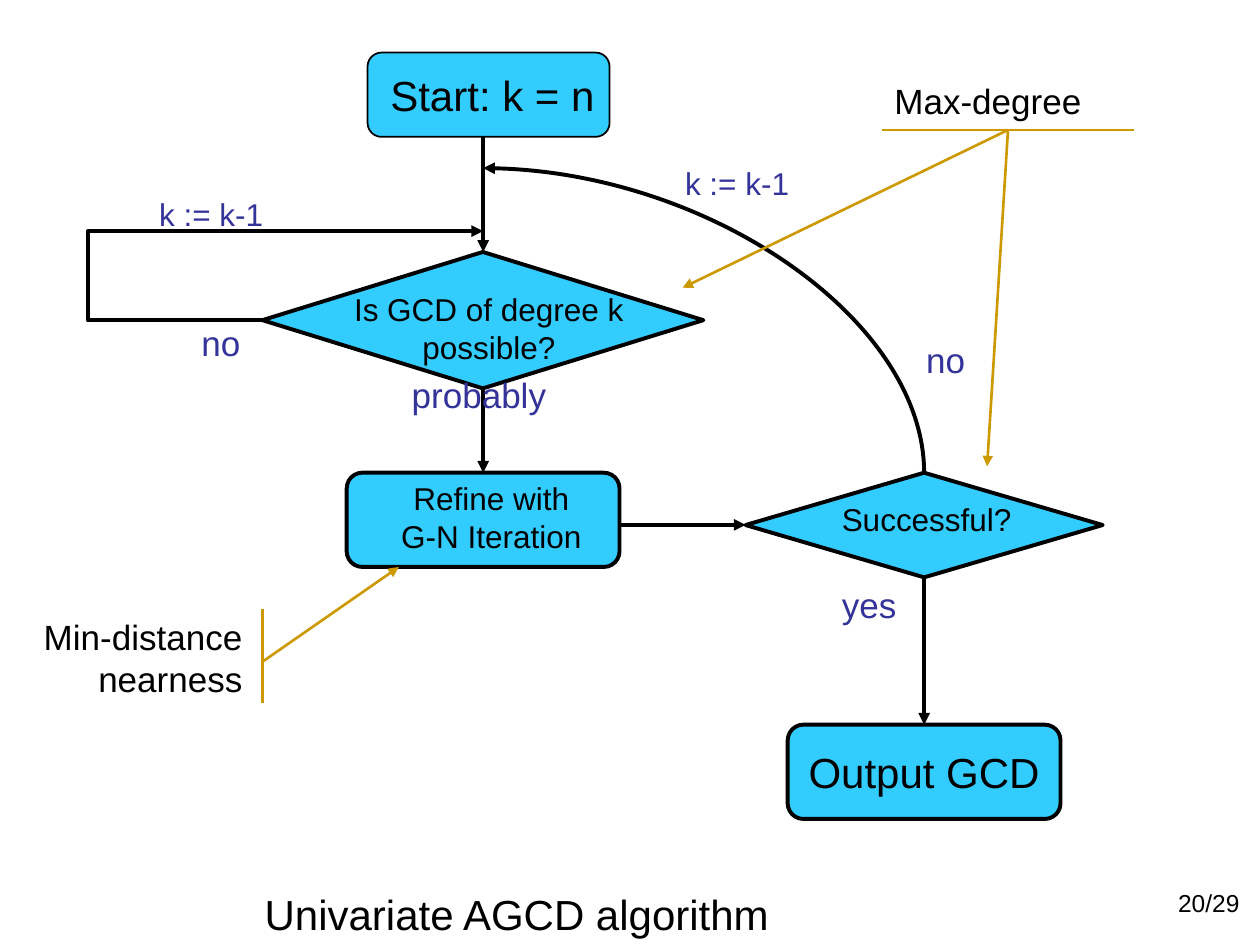
from lxml.etree import SubElement
from pptx import Presentation
from pptx.dml.color import RGBColor
from pptx.enum.shapes import MSO_CONNECTOR as LINK, MSO_SHAPE as SHAPE
from pptx.enum.text import MSO_ANCHOR as ANCHOR, MSO_AUTO_SIZE as FIT, PP_ALIGN as ALIGN
from pptx.oxml.ns import qn
from pptx.util import Cm, Pt

BLACK = RGBColor(0x00, 0x00, 0x00)
SKY = RGBColor(0x33, 0xCC, 0xFF)
INDIGO = RGBColor(0x33, 0x33, 0x99)
GOLD = RGBColor(0xCC, 0x99, 0x00)
FONT = "Arial"

MAIN_X, CHECK_X = 9.74, 18.63
TITLE = ("Univariate AGCD algorithm", 5.08, 17.78, 10.72, 1.27)
STEP, DECISION = SHAPE.FLOWCHART_ALTERNATE_PROCESS, SHAPE.FLOWCHART_DECISION

# kind, left, top, width, height, outline, text
NODES = [
    (STEP, 7.41, 1.06, 4.88, 1.7, 1, ""),
    (DECISION, 5.29, 5.08, 8.89, 2.75, 2.25, ""),
    (DECISION, 15.03, 9.53, 7.2, 2.11, 2.25, ""),
    (STEP, 6.99, 9.53, 5.5, 1.9, 2.25, ""),
    (STEP, 15.88, 14.61, 5.5, 1.9, 2.25, "Output GCD"),
]
FLOWS = [
    (MAIN_X, 2.75, MAIN_X, 5.08),
    (MAIN_X, 7.83, MAIN_X, 9.53),
    (12.49, 10.58, 15.03, 10.58),
    (CHECK_X, 11.64, CHECK_X, 14.61),
]
RETRY_LOOP = (5.29, 6.46, MAIN_X, 4.66)
FAILED_LOOP = (MAIN_X, 3.39, CHECK_X, 9.53)
NOTE_RULES = [(17.78, 2.62, 22.86, 2.62), (5.29, 12.28, 5.29, 14.18)]
NOTE_ARROWS = [
    (20.32, 2.62, 13.76, 5.8),
    (20.32, 2.62, 19.9, 9.4),
    (5.29, 13.34, 8.04, 11.43),
]
LABELS = [
    (["Start: k = n"], 7.62, 1.27, 4.62, 1.27, 24, BLACK, ALIGN.LEFT),
    (["Is GCD of degree k", "possible?"], 6.88, 5.72, 5.95, 1.78, 18, BLACK, ALIGN.CENTER),
    (["Successful?"], 16.72, 9.95, 3.94, 1.02, 18, BLACK, ALIGN.LEFT),
    (["Refine with", "G-N Iteration"], 7.83, 9.53, 4.15, 1.78, 18, BLACK, ALIGN.CENTER),
    (["k := k-1"], 2.96, 3.81, 2.8, 1.02, 18, INDIGO, ALIGN.LEFT),
    (["k := k-1"], 13.56, 3.18, 2.8, 1.02, 18, INDIGO, ALIGN.LEFT),
    (["no"], 3.81, 6.35, 1.3, 1.12, 20, INDIGO, ALIGN.LEFT),
    (["no"], 18.42, 6.7, 1.3, 1.12, 20, INDIGO, ALIGN.LEFT),
    (["probably"], 8.05, 7.41, 3.23, 1.12, 20, INDIGO, ALIGN.LEFT),
    (["yes"], 16.72, 11.64, 1.6, 1.12, 20, INDIGO, ALIGN.LEFT),
    (["Max-degree"], 17.78, 1.48, 4.5, 1.12, 20, BLACK, ALIGN.LEFT),
    (["Min-distance", "nearness"], 0.62, 12.28, 4.52, 1.96, 20, BLACK, ALIGN.RIGHT),
    (["20/29"], 23.5, 17.78, 1.75, 0.86, 14, BLACK, ALIGN.LEFT),
]


def write(frame, lines, size, color, align, anchor=ANCHOR.TOP):
    frame.text = "\n".join(lines)
    frame.word_wrap = False
    frame.vertical_anchor = anchor
    for para in frame.paragraphs:
        para.alignment = align
        for span in para.runs:
            span.font.name = FONT
            span.font.size = Pt(size)
            span.font.color.rgb = color


def add_node(page, kind, left, top, width, height, outline, text):
    node = page.shapes.add_shape(kind, Cm(left), Cm(top), Cm(width), Cm(height))
    node.shadow.inherit = False
    node.fill.solid()
    node.fill.fore_color.rgb = SKY
    node.line.color.rgb = BLACK
    node.line.width = Pt(outline)
    if text:
        write(node.text_frame, [text], 24, BLACK, ALIGN.CENTER, ANCHOR.MIDDLE)


def add_line(page, ends, color, weight, arrow="tailEnd", kind=LINK.STRAIGHT):
    line = page.shapes.add_connector(kind, *map(Cm, ends))
    line.line.color.rgb = color
    line.line.width = Pt(weight)
    properties = line._element.spPr
    if arrow:
        SubElement(properties.find(qn("a:ln")), qn("a:" + arrow), type="triangle")
    SubElement(properties, qn("a:effectLst"))
    return properties.find(qn("a:prstGeom"))


def add_label(page, lines, left, top, width, height, size, color, align):
    box = page.shapes.add_textbox(Cm(left), Cm(top), Cm(width), Cm(height))
    write(box.text_frame, lines, size, color, align)
    box.text_frame.auto_size = FIT.SHAPE_TO_FIT_TEXT


def main():
    deck = Presentation()
    deck.slide_width, deck.slide_height = Cm(25.4), Cm(19.05)
    page = deck.slides.add_slide(deck.slide_layouts[5])

    text, *place = TITLE
    title = page.shapes.title
    title.left, title.top, title.width, title.height = map(Cm, place)
    write(title.text_frame, [text], 24, BLACK, ALIGN.LEFT)

    for node in NODES:
        add_node(page, *node)
    for ends in FLOWS:
        add_line(page, ends, BLACK, 2.25)

    elbow = add_line(page, RETRY_LOOP, BLACK, 2.25, kind=LINK.ELBOW)
    guides = elbow.find(qn("a:avLst"))
    SubElement(guides, qn("a:gd"), name="adj1", fmla="val -79100")
    curve = add_line(page, FAILED_LOOP, BLACK, 2.25, "headEnd", LINK.CURVE)
    curve.set("prst", "curvedConnector2")

    for ends in NOTE_RULES:
        add_line(page, ends, GOLD, 1.5, None)
    for ends in NOTE_ARROWS:
        add_line(page, ends, GOLD, 1.5)
    for label in LABELS:
        add_label(page, *label)
    deck.save("out.pptx")


if __name__ == "__main__":
    main()
